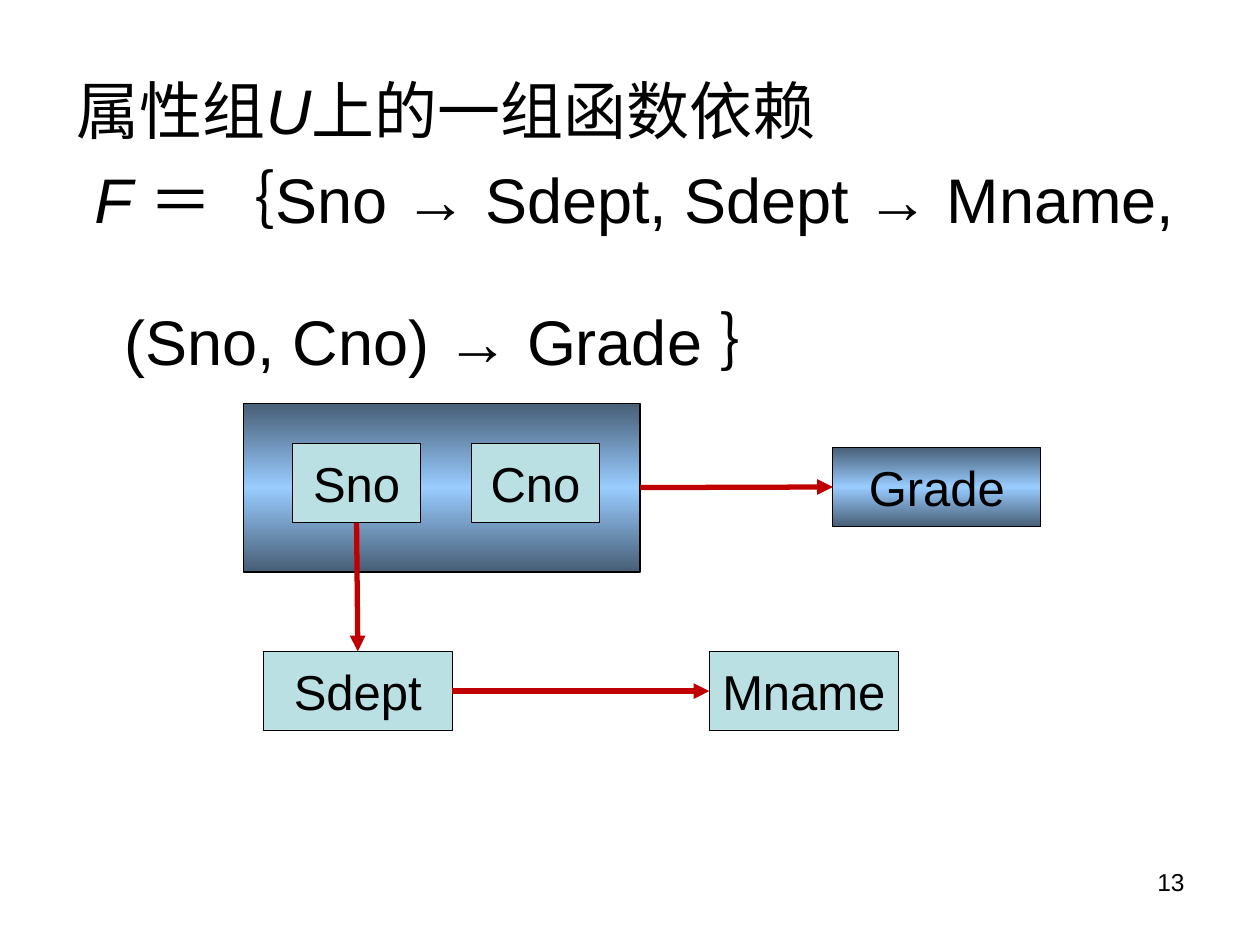
from copy import deepcopy

from lxml import etree
from pptx import Presentation
from pptx import util as u
from pptx.dml.color import RGBColor
from pptx.enum import shapes, text
from pptx.oxml import ns

BLACK = RGBColor(0x00, 0x00, 0x00)
TEAL = RGBColor(0xBB, 0xE0, 0xE3)
SLATE = RGBColor(0x47, 0x5E, 0x76)
SKY = RGBColor(0x99, 0xCC, 0xFF)
RED = RGBColor(0xC0, 0x00, 0x00)

STATEMENT = [
    [("属性组", False), ("U", True), ("上的一组函数依赖", False)],
    [(" ", False), ("F ", True),
     ("＝｛Sno → Sdept, Sdept → Mname, \n(Sno, Cno) → Grade ｝", False)],
]
PAGE_NUMBER = "13"
ATTRIBUTES = [
    ("key", "", (1.93, 3.2, 3.15, 1.34), True),
    ("Sno", "Sno", (2.32, 3.52, 1.02, 0.63), False),
    ("Sdept", "Sdept", (2.09, 5.17, 1.5, 0.63), False),
    ("Mname", "Mname", (5.63, 5.17, 1.5, 0.63), False),
    ("Cno", "Cno", (3.74, 3.52, 1.02, 0.63), False),
    ("Grade", "Grade", (6.61, 3.55, 1.65, 0.63), True),
]
TOP, LEFT, BOTTOM, RIGHT = range(4)
DEPENDENCIES = [
    ("Sno", BOTTOM, "Sdept", TOP),
    ("Sdept", RIGHT, "Mname", LEFT),
    ("key", RIGHT, "Grade", LEFT),
]


def write(para, words, size, align=text.PP_ALIGN.LEFT, italic=False):
    para.alignment = align
    for index, line in enumerate(words.split("\n")):
        if index:
            para.add_line_break()
        span = para.add_run()
        span.text = line
        span.font.name = "Arial"
        span.font.size = u.Pt(size)
        span.font.italic = italic
        span.font.color.rgb = BLACK


def place(shape, bounds):
    shape.left, shape.top, shape.width, shape.height = map(u.Inches, bounds)


def add_statement(body):
    place(body, (0.51, 0.52, 9, 2.44))
    frame = body.text_frame
    frame.auto_size = text.MSO_AUTO_SIZE.NONE
    frame.word_wrap = True
    for index, spans in enumerate(STATEMENT):
        para = frame.add_paragraph() if index else frame.paragraphs[0]
        para.space_before = u.Pt(7.2)
        for words, italic in spans:
            write(para, words, 36, italic=italic)
        properties = para._p.get_or_add_pPr()
        properties.set("marL", str(u.Inches(0.38)))
        properties.set("indent", str(-u.Inches(0.38)))
        etree.SubElement(properties, ns.qn("a:buNone"))


def fill_gradient(box):
    box.fill.gradient()
    box.fill.gradient_angle = 90
    stop_list = box._element.spPr.find(".//" + ns.qn("a:gsLst"))
    stop_list.append(deepcopy(stop_list[-1]))
    for stop, position, color in zip(box.fill.gradient_stops, (0, 0.5, 1), (SLATE, SKY, SLATE)):
        stop.position = position
        stop.color.rgb = color


def add_box(page, words, bounds, shaded):
    box = page.shapes.add_shape(shapes.MSO_SHAPE.RECTANGLE, *map(u.Inches, bounds))
    box.shadow.inherit = False
    box.line.color.rgb = BLACK
    box.line.width = u.Pt(0.75)
    if shaded:
        fill_gradient(box)
    else:
        box.fill.solid()
        box.fill.fore_color.rgb = TEAL
    if words:
        frame = box.text_frame
        frame.word_wrap = False
        frame.vertical_anchor = text.MSO_ANCHOR.MIDDLE
        write(frame.paragraphs[0], words, 28, align=text.PP_ALIGN.CENTER)
    return box


def add_arrow(page, source, source_side, target, target_side):
    arrow = page.shapes.add_connector(shapes.MSO_CONNECTOR.STRAIGHT, 0, 0, 0, 0)
    arrow.begin_connect(source, source_side)
    arrow.end_connect(target, target_side)
    arrow.line.color.rgb = RED
    arrow.line.width = u.Pt(3)
    etree.SubElement(arrow.line._get_or_add_ln(), ns.qn("a:tailEnd"), type="triangle")
    etree.SubElement(arrow._element.spPr, ns.qn("a:effectLst"))


def main():
    deck = Presentation()
    deck.slide_width, deck.slide_height = u.Inches(10), u.Inches(7.5)
    page = deck.slides.add_slide(deck.slide_layouts[1])
    title = page.shapes.title._element
    title.getparent().remove(title)
    add_statement(page.placeholders[1])

    number = page.shapes.add_textbox(*map(u.Inches, (7.17, 6.83, 2.33, 0.52)))
    number.text_frame.word_wrap = True
    write(number.text_frame.paragraphs[0], PAGE_NUMBER, 14, align=text.PP_ALIGN.RIGHT)

    boxes = {name: add_box(page, words, bounds, shaded)
             for name, words, bounds, shaded in ATTRIBUTES}
    for source, source_side, target, target_side in DEPENDENCIES:
        add_arrow(page, boxes[source], source_side, boxes[target], target_side)
    deck.save("out.pptx")


if __name__ == "__main__":
    main()
